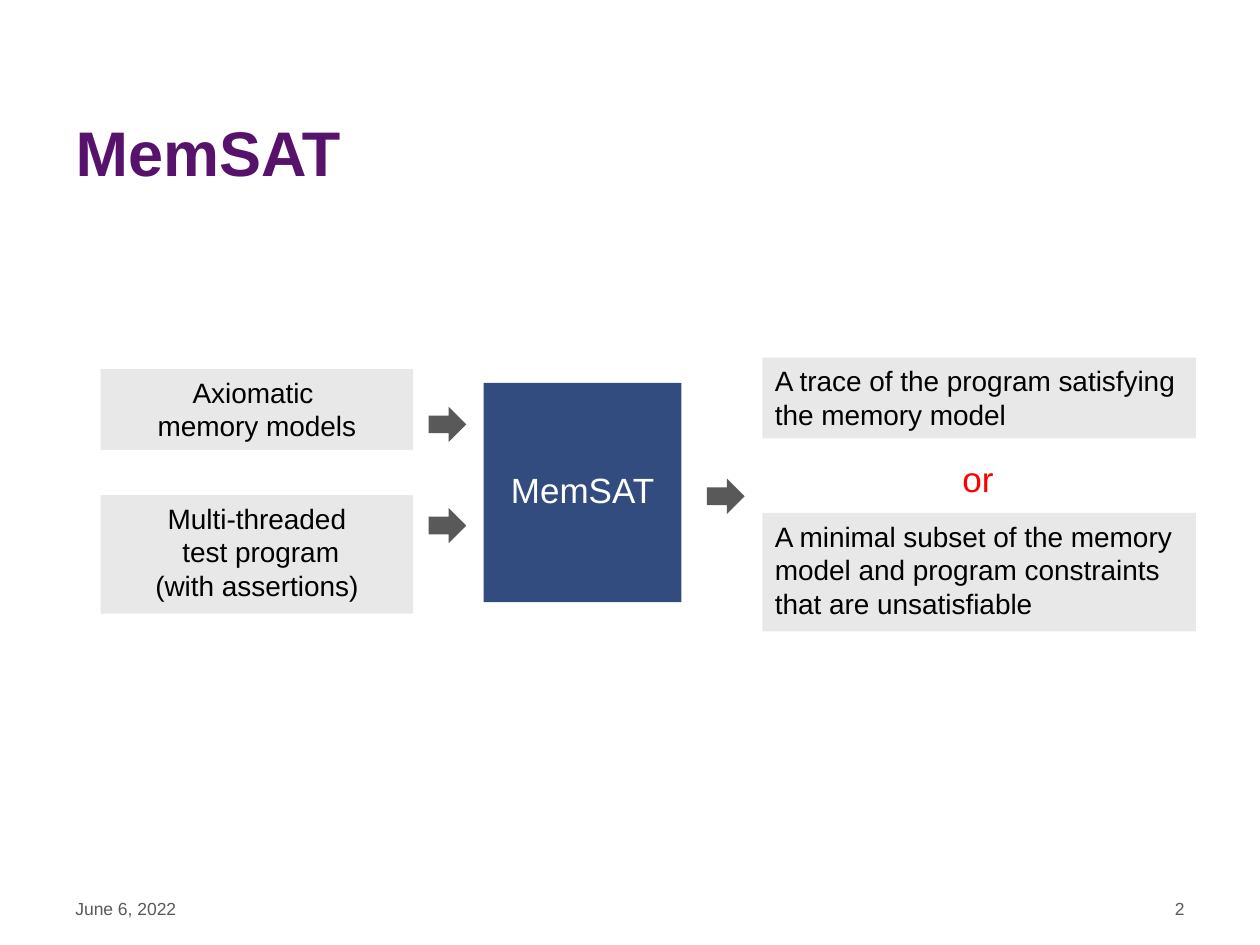
import pptx
import pptx.dml.color
import pptx.enum.shapes
import pptx.enum.text
import pptx.oxml.ns
import pptx.util
import lxml.etree

Cm = pptx.util.Cm
SHAPE = pptx.enum.shapes.MSO_SHAPE
ALIGN = pptx.enum.text.PP_ALIGN
ANCHOR = pptx.enum.text.MSO_ANCHOR


def color(hex_code):
    return pptx.dml.color.RGBColor.from_string(hex_code)


class Diagram:
    FONT = "Arial"
    PURPLE, NAVY, GRAY, PALE = "57126C", "002060", "595959", "D9D9D9"
    BLACK, WHITE, RED = "000000", "FFFFFF", "FF0000"

    def __init__(self, slide):
        self.slide = slide

    def style_text(self, frame, text, size, hex_code, align=ALIGN.LEFT,
                   anchor=ANCHOR.TOP, bold=False):
        frame.text = text
        frame.word_wrap = True
        frame.vertical_anchor = anchor
        for paragraph in frame.paragraphs:
            paragraph.alignment = align
            for run in paragraph.runs:
                run.font.name = self.FONT
                run.font.size = pptx.util.Pt(size)
                run.font.bold = bold
                run.font.color.rgb = color(hex_code)

    def title(self, text, left, top, width, height):
        title = self.slide.shapes.title
        title.left, title.top = Cm(left), Cm(top)
        title.width, title.height = Cm(width), Cm(height)
        self.style_text(title.text_frame, text, 36, self.PURPLE,
                        anchor=ANCHOR.BOTTOM, bold=True)

    def shape(self, kind, left, top, width, height, fill, opacity=100, parent=None):
        shapes = (parent or self.slide).shapes
        shape = shapes.add_shape(kind, Cm(left), Cm(top), Cm(width), Cm(height))
        shape.shadow.inherit = False
        shape.fill.solid()
        shape.fill.fore_color.rgb = color(fill)
        shape.line.fill.background()
        if opacity < 100:
            tint = shape.element.spPr.find(".//" + pptx.oxml.ns.qn("a:srgbClr"))
            lxml.etree.SubElement(tint, pptx.oxml.ns.qn("a:alpha"),
                                  val=str(opacity * 1000))
        return shape

    def panel(self, text, left, top, width, height, align=ALIGN.LEFT):
        panel = self.shape(SHAPE.RECTANGLE, left, top, width, height, self.PALE, 60)
        self.style_text(panel.text_frame, text, 16, self.BLACK, align)

    def arrow(self, left, top):
        self.shape(SHAPE.RIGHT_ARROW, left, top, 0.76, 0.71, self.GRAY)

    def label(self, text, left, top, width, height, size, hex_code,
              align=ALIGN.LEFT, parent=None):
        box = (parent or self.slide).shapes.add_textbox(
            Cm(left), Cm(top), Cm(width), Cm(height))
        self.style_text(box.text_frame, text, size, hex_code, align)


def main():
    deck = pptx.Presentation()
    deck.slide_width, deck.slide_height = Cm(25.4), Cm(19.05)
    diagram = Diagram(deck.slides.add_slide(deck.slide_layouts[5]))
    diagram.title("MemSAT", 1.27, 0.33, 20.96, 3.61)

    # Inputs
    for text, top, height in (
        ("Axiomatic \nmemory models", 7.44, 1.63),
        ("Multi-threaded\n test program\n(with assertions)", 9.98, 2.39),
    ):
        diagram.panel(text, 2.03, top, 6.3, height, ALIGN.CENTER)

    # Solver
    solver = diagram.slide.shapes.add_group_shape()
    diagram.shape(SHAPE.RECTANGLE, 9.75, 7.72, 3.99, 4.42, diagram.NAVY, 80, solver)
    diagram.label("MemSAT", 9.55, 9.32, 4.39, 1.12, 20, diagram.WHITE,
                  ALIGN.CENTER, solver)

    # Arrows into and out of the solver
    for left, top in ((8.64, 8.2), (8.64, 10.24), (14.25, 9.65)):
        diagram.arrow(left, top)

    # Alternative results
    for text, top, height in (
        ("A trace of the program satisfying the memory model", 7.21, 1.63),
        ("A minimal subset of the memory model and program constraints\n"
         "that are unsatisfiable", 10.34, 2.39),
    ):
        diagram.panel(text, 15.37, top, 8.74, height)
    diagram.label("or", 19.15, 9.09, 1.7, 1.12, 20, diagram.RED)

    # Footer
    for text, left, align in (("June 6, 2022", 1.27, ALIGN.LEFT),
                              ("2", 18.21, ALIGN.RIGHT)):
        diagram.label(text, left, 17.98, 5.92, 0.99, 10, diagram.GRAY, align)

    deck.save("out.pptx")


if __name__ == "__main__":
    main()
